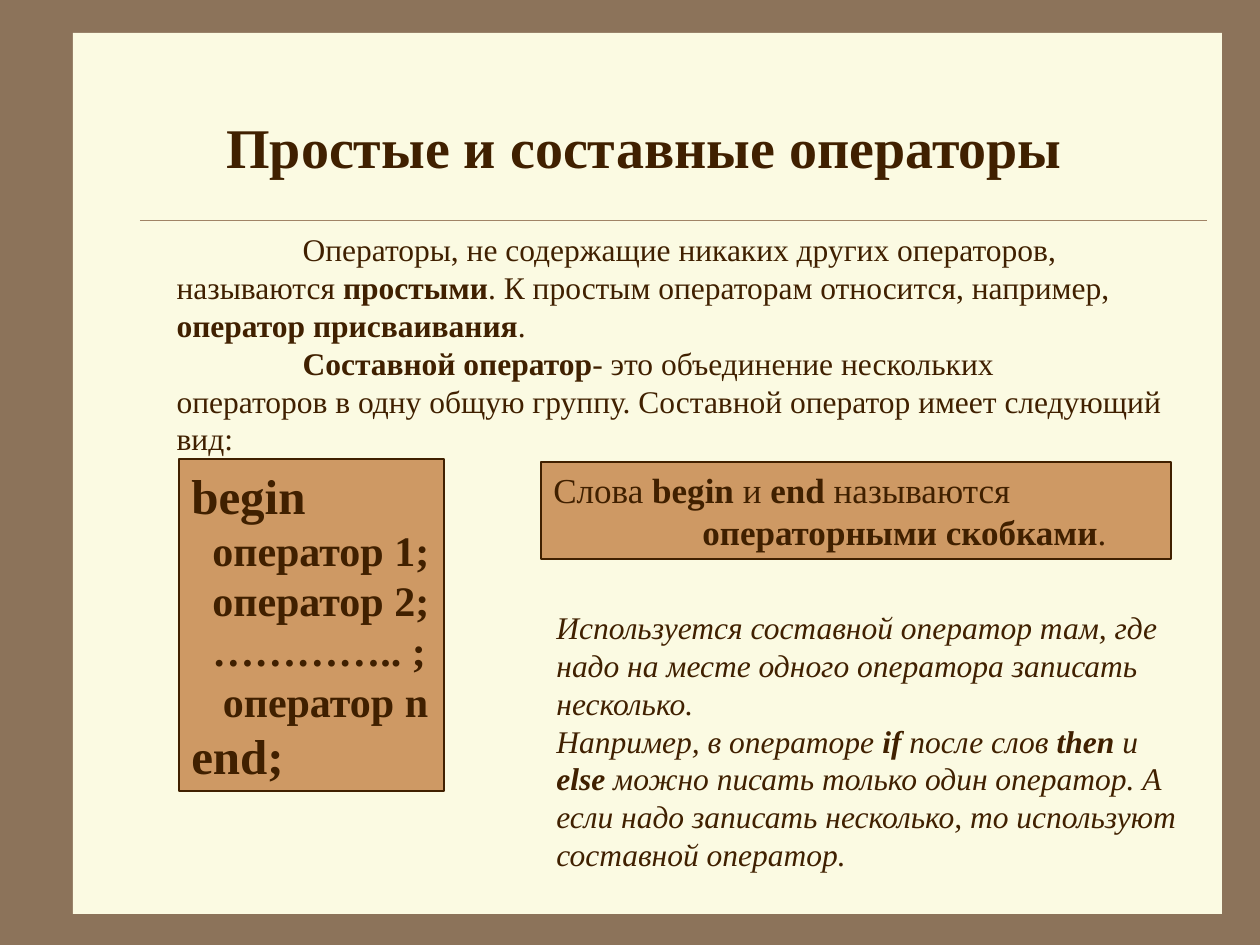
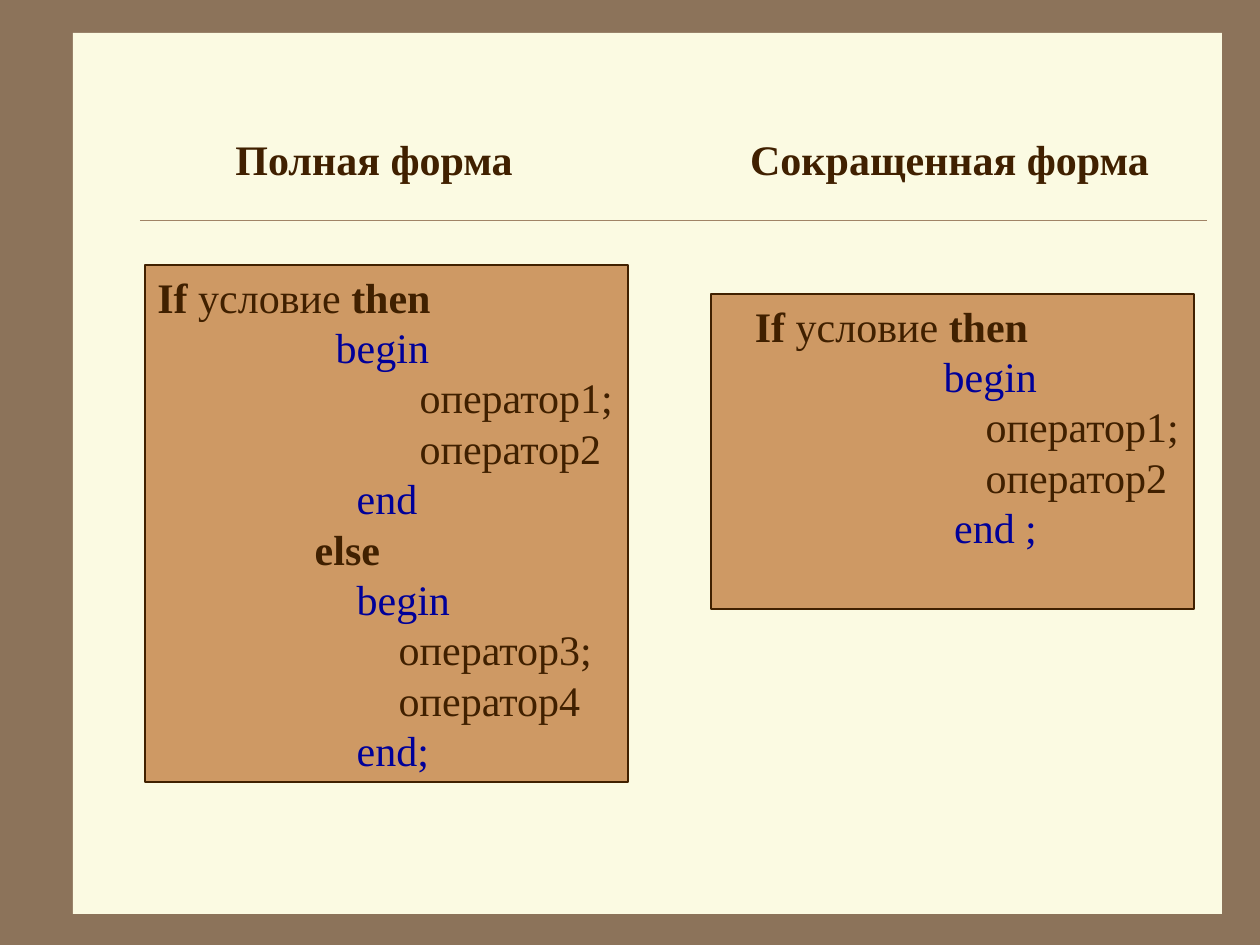
import dataclasses

import lxml.etree
import pptx
import pptx.dml.color
import pptx.enum.shapes
import pptx.enum.text
import pptx.oxml.ns
import pptx.util

EMU_PER_PX = 914400 / 126
ALIGN = pptx.enum.text.PP_ALIGN
ANCHOR = pptx.enum.text.MSO_ANCHOR


@dataclasses.dataclass(frozen=True)
class Theme:
    font: str = "Times New Roman"
    frame: str = "8C735A"
    paper: str = "FBFAE2"
    rule: str = "A08366"
    ink: str = "402000"
    box: str = "CE9964"
    keyword: str = "000099"
    title: int = 32
    delimiter: int = 28
    code: int = 24
    note: int = 20
    body: int = 18


THEME = Theme()

SLIDE = (1260, 945)
PAPER = (73, 33, 1149, 881)
RULE = (140, 220, 1207, 220)
FIRST_LINE = 126
NOTE_INDENT = 149


def bold(text, **style):
    return text, dict(style, bold=True)


def plain(text):
    return text, {}


def keyword(spaces, text):
    return [(" " * spaces + text, {"color": THEME.keyword})]


def statement(spaces, text):
    return [plain(" " * spaces + text)]


def condition(spaces):
    return [bold(" " * spaces + "If"), plain(" условие "), bold("then")]


TITLE = "Простые и составные операторы"
TITLE_AT = (213, 106, 863, 80)

DEFINITIONS = [
    [plain("Операторы, не содержащие никаких других операторов, называются "),
     bold("простыми"),
     plain(". К простым операторам относится, например, "),
     bold("оператор присваивания"), plain(".")],
    [bold("Составной оператор"), plain("- это объединение нескольких")],
    [plain("операторов в одну общую группу. Составной оператор имеет следующий вид:")],
]
DEFINITIONS_AT = (164, 224, 1022, 239)

COMPOUND = [
    [bold("begin", size=THEME.delimiter)],
    [bold("  оператор 1;")],
    [bold("  оператор 2;")],
    [bold("  ………….. ;")],
    [bold("   оператор n")],
    [bold("end;", size=THEME.delimiter)],
]
COMPOUND_AT = (179, 459, 265, 332)

BRACKETS = [
    [plain("Слова "), bold("begin "), plain("и "), bold("end "), plain("называются")],
    [bold("операторными скобками"), plain(".")],
]
BRACKETS_AT = (541, 462, 630, 97)

USAGE = [
    [plain("Используется составной оператор там, где")],
    [plain("надо на месте одного оператора записать")],
    [plain("несколько.")],
    [plain("Например, в операторе "), bold("if"), plain(" после слов "),
     bold("then "), plain("и")],
    [bold("else "), plain("можно писать только один оператор. А")],
    [plain("если надо записать несколько, то используют")],
    [plain("составной оператор.")],
]
USAGE_AT = (544, 602, 650, 277)

FORMS = [
    {
        "heading": "Полная форма",
        "heading_at": (164, 106, 420, 105),
        "code_at": (145, 265, 483, 517),
        "code": [
            condition(0),
            keyword(17, "begin"),
            statement(25, "оператор1;"),
            statement(25, "оператор2"),
            keyword(19, "end"),
            [bold(" " * 15 + "else")],
            keyword(19, "begin"),
            statement(23, "оператор3;"),
            statement(23, "оператор4"),
            keyword(19, "end;"),
        ],
    },
    {
        "heading": "Сокращенная форма",
        "heading_at": (729, 106, 441, 105),
        "code_at": (711, 294, 483, 315),
        "code": [
            condition(3),
            keyword(21, "begin"),
            statement(25, "оператор1;"),
            statement(25, "оператор2"),
            keyword(22, "end ;"),
        ],
    },
]


def px(length):
    return pptx.util.Emu(round(length * EMU_PER_PX))


def place(area):
    return [px(length) for length in area]


def rgb(color):
    return pptx.dml.color.RGBColor.from_string(color)


def write(shape, lines, size, align=ALIGN.LEFT, anchor=ANCHOR.TOP,
          wrap=False, italic=False, margins=None, first_lines=None):
    frame = shape.text_frame
    frame.auto_size = pptx.enum.text.MSO_AUTO_SIZE.NONE
    frame.word_wrap = wrap
    frame.vertical_anchor = anchor
    for number, line in enumerate(lines):
        paragraph = frame.paragraphs[0] if number == 0 else frame.add_paragraph()
        properties = paragraph._p.get_or_add_pPr()
        properties.set("marL", str(px((margins or {}).get(number, 0))))
        properties.set("indent", str(px((first_lines or {}).get(number, 0))))
        lxml.etree.SubElement(properties, pptx.oxml.ns.qn("a:buNone"))
        paragraph.alignment = align
        paragraph.space_before = pptx.util.Pt(0)
        for text, style in line:
            run = paragraph.add_run()
            run.text = text
            run.font.name = THEME.font
            run.font.size = pptx.util.Pt(style.get("size", size))
            run.font.bold = style.get("bold", False)
            run.font.italic = italic
            run.font.color.rgb = rgb(style.get("color", THEME.ink))


def fill_placeholder(placeholder, area, lines, size, **layout):
    placeholder.left, placeholder.top, placeholder.width, placeholder.height = place(area)
    write(placeholder, lines, size, **layout)


def add_rectangle(slide, area, color):
    rectangle = slide.shapes.add_shape(
        pptx.enum.shapes.MSO_SHAPE.RECTANGLE, *place(area))
    rectangle.shadow.inherit = False
    rectangle.fill.solid()
    rectangle.fill.fore_color.rgb = rgb(color)
    return rectangle


def add_box(slide, area, lines, size, **layout):
    box = add_rectangle(slide, area, THEME.box)
    box.line.color.rgb = rgb(THEME.ink)
    box.line.width = pptx.util.Pt(0.75)
    write(box, lines, size, **layout)


def decorate_master(master, slide):
    master.background.fill.solid()
    master.background.fill.fore_color.rgb = rgb(THEME.frame)
    paper = add_rectangle(slide, PAPER, THEME.paper)
    paper.line.fill.background()
    rule = slide.shapes.add_connector(
        pptx.enum.shapes.MSO_CONNECTOR.STRAIGHT, *place(RULE))
    rule.line.color.rgb = rgb(THEME.rule)
    rule.line.width = pptx.util.Pt(0.25)
    lxml.etree.SubElement(rule._element.spPr, pptx.oxml.ns.qn("a:effectLst"))
    first_placeholder = master.shapes[0].element
    for part in (paper, rule):
        first_placeholder.addprevious(part.element)


def build_operators(slide):
    fill_placeholder(slide.shapes.title, TITLE_AT, [[bold(TITLE)]], THEME.title,
                     align=ALIGN.CENTER, anchor=ANCHOR.MIDDLE)
    fill_placeholder(slide.placeholders[1], DEFINITIONS_AT, DEFINITIONS, THEME.body,
                     wrap=True, first_lines={0: FIRST_LINE, 1: FIRST_LINE})
    add_box(slide, COMPOUND_AT, COMPOUND, THEME.code)
    usage = slide.shapes.add_textbox(*place(USAGE_AT))
    write(usage, USAGE, THEME.body, italic=True)
    add_box(slide, BRACKETS_AT, BRACKETS, THEME.note,
            wrap=True, margins={1: NOTE_INDENT})


def build_forms(slide):
    for heading, form in zip(slide.placeholders, FORMS):
        fill_placeholder(heading, form["heading_at"], [[bold(form["heading"])]],
                         THEME.code, align=ALIGN.CENTER, anchor=ANCHOR.MIDDLE)
        add_box(slide, form["code_at"], form["code"], THEME.code)


def main():
    deck = pptx.Presentation()
    deck.slide_width, deck.slide_height = place(SLIDE)
    title_and_body = deck.slide_layouts[1]
    operators = deck.slides.add_slide(title_and_body)
    decorate_master(deck.slide_master, operators)
    build_operators(operators)
    build_forms(deck.slides.add_slide(title_and_body))
    deck.save("out.pptx")


if __name__ == "__main__":
    main()
